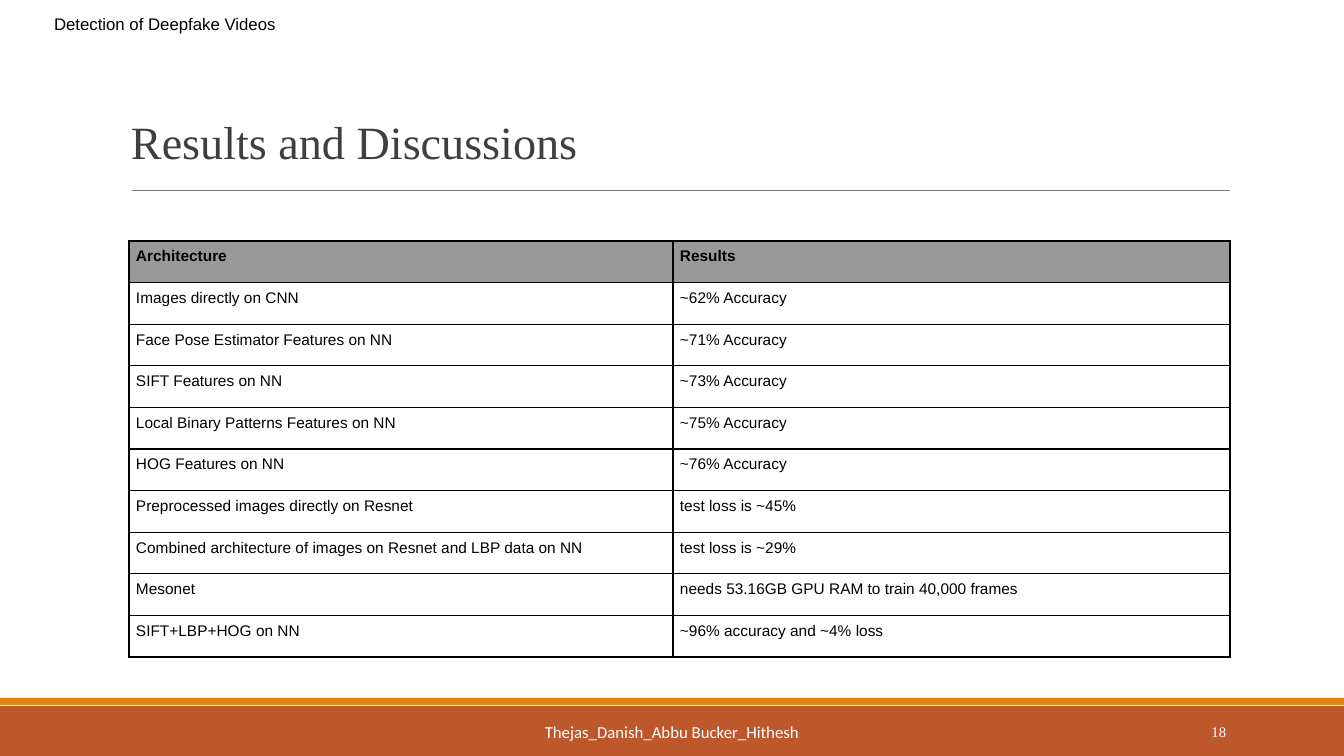
"""Build the results slide of a talk on detecting deepfake videos."""
from lxml import etree
from pptx import Presentation
from pptx.dml.color import RGBColor
from pptx.enum.shapes import MSO_CONNECTOR, MSO_SHAPE
from pptx.enum.text import MSO_ANCHOR, PP_ALIGN
from pptx.oxml.ns import qn
from pptx.util import Emu, Pt

RECTANGLE = MSO_SHAPE.RECTANGLE
STRAIGHT = MSO_CONNECTOR.STRAIGHT
TOP, MIDDLE, BOTTOM = MSO_ANCHOR.TOP, MSO_ANCHOR.MIDDLE, MSO_ANCHOR.BOTTOM
LEFT, CENTER, RIGHT = PP_ALIGN.LEFT, PP_ALIGN.CENTER, PP_ALIGN.RIGHT

THEME = {
    "band": "BD582C", "stripe": "E48312", "rule": "7F7F7F", "header": "999999",
    "title": "3F3F3F", "ink": "000000", "light": "FFFFFF",
    "title_size": 33, "label_size": 12, "table_size": 11, "number_size": 10.5,
    "serif": "Times New Roman", "sans": "Arial", "footer": "Calibri",
}
RESULTS = [
    ("Architecture", "Results"),
    ("Images directly on CNN", "~62% Accuracy"),
    ("Face Pose Estimator Features on NN", "~71% Accuracy"),
    ("SIFT Features on NN", "~73% Accuracy"),
    ("Local Binary Patterns Features on NN", "~75% Accuracy"),
    ("HOG Features on NN", "~76% Accuracy"),
    ("Preprocessed images directly on Resnet", "test loss is ~45%"),
    ("Combined architecture of images on Resnet and LBP data on NN", "test loss is ~29%"),
    ("Mesonet", "needs 53.16GB GPU RAM to train 40,000 frames"),
    ("SIFT+LBP+HOG on NN", "~96% accuracy and ~4% loss"),
]


def px(*lengths):
    return [Emu(round(length * 914400 / 100.8)) for length in lengths]


def style(paragraph, face, size, color, bold=False):
    font = paragraph.font
    font.name, font.size, font.bold = THEME[face], Pt(THEME[size]), bold
    font.color.rgb = RGBColor.from_string(THEME[color])


deck = Presentation()
deck.slide_width, deck.slide_height = px(1344, 756)
slide = deck.slides.add_slide(deck.slide_layouts[6])

for color, top, height in [("band", 706, 50), ("stripe", 698, 7)]:
    bar = slide.shapes.add_shape(RECTANGLE, *px(0, top, 1344, height))
    bar.shadow.inherit = False
    bar.fill.solid()
    bar.fill.fore_color.rgb = RGBColor.from_string(THEME[color])
    bar.line.fill.background()

title_rule = slide.shapes.add_connector(STRAIGHT, *px(132, 191, 1230, 191))
title_rule.line.color.rgb = RGBColor.from_string(THEME["rule"])
title_rule.line.width = Pt(0.75)
etree.SubElement(title_rule._element.spPr, qn("a:effectLst"))

LABELS = [
    ("18", (1092, 712, 144, 40), 5, MIDDLE, RIGHT, 1, "serif", "number_size", "light"),
    ("Detection of Deepfake Videos", (0, 0, 330, 65), 10, TOP, CENTER, 1.2,
     "sans", "label_size", "ink"),
    ("Thejas_Danish_Abbu Bucker_Hithesh", (507, 712, 330, 40), 10, TOP, CENTER, 1,
     "footer", "label_size", "light"),
    ("Results and Discussions", (121, 106, 1109, 68), 5, BOTTOM, LEFT, 0.85,
     "serif", "title_size", "title"),
]
for text, place, inset, anchor, align, spacing, face, size, color in LABELS:
    frame = slide.shapes.add_textbox(*px(*place)).text_frame
    frame.word_wrap = True
    frame.vertical_anchor = anchor
    frame.margin_left, frame.margin_right = px(10, 10)
    frame.margin_top, frame.margin_bottom = px(inset, inset)
    line = frame.paragraphs[0]
    line.text, line.alignment, line.line_spacing = text, align, spacing
    style(line, face, size, color)

results = slide.shapes.add_table(len(RESULTS), 2, *px(129, 241, 1101, 416)).table
results.first_row = results.horz_banding = False
results.columns[0].width, results.columns[1].width = px(544, 557)
for row, entries in enumerate(RESULTS):
    for column, entry in enumerate(entries):
        cell = results.cell(row, column)
        cell.text = entry
        cell.margin_left, cell.margin_right, cell.margin_top, cell.margin_bottom = px(7, 7, 7, 7)
        style(cell.text_frame.paragraphs[0], "sans", "table_size", "ink", bold=row == 0)
        properties = cell._tc.get_or_add_tcPr()
        for side in ("lnL", "lnR", "lnT", "lnB"):
            border = etree.SubElement(properties, qn(f"a:{side}"), w=str(Pt(1)))
            paint = etree.SubElement(border, qn("a:solidFill"))
            etree.SubElement(paint, qn("a:srgbClr"), val=THEME["ink"])
        if row == 0:
            cell.fill.solid()
            cell.fill.fore_color.rgb = RGBColor.from_string(THEME["header"])
        else:
            cell.fill.background()

deck.save("out.pptx")
